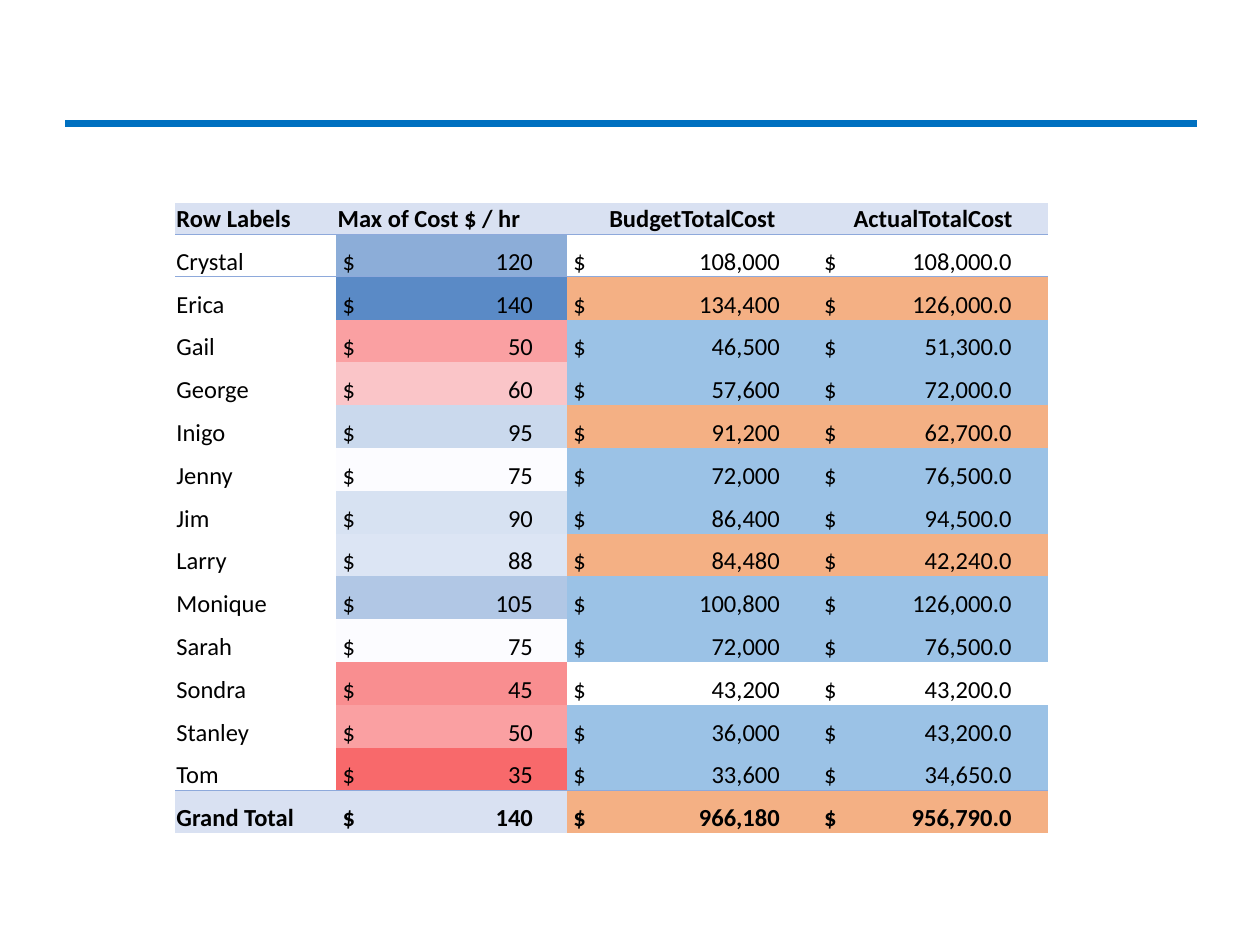
"""Build a slide with a table of hourly rates, budgeted and actual costs per person."""
from dataclasses import dataclass

from lxml import etree
from pptx import Presentation
from pptx.dml.color import RGBColor
from pptx.enum.shapes import MSO_CONNECTOR
from pptx.enum.text import MSO_ANCHOR, PP_ALIGN
from pptx.oxml.ns import qn
from pptx.util import Inches, Pt

STRAIGHT = MSO_CONNECTOR.STRAIGHT
BOTTOM = MSO_ANCHOR.BOTTOM
LEFT, CENTER = PP_ALIGN.LEFT, PP_ALIGN.CENTER
PLAIN_TABLE = "{2D5ABB26-0587-4C30-8999-92F81FD0307C}"


@dataclass(frozen=True)
class Theme:
    font: str = "Calibri"
    size: float = 14
    text: str = "000000"
    rule: str = "0070C0"
    rule_width: float = 4.5
    band: str = "D9E1F2"
    border: str = "8EA9DB"
    border_width: float = 0.5
    over_budget: str = "9BC2E6"
    under_budget: str = "F4B084"
    low_rate: str = "F8696B"
    middle_rate: str = "FCFCFF"
    high_rate: str = "5A8AC6"


THEME = Theme()
HEADINGS = ["Row Labels", "Max of Cost $ / hr", "BudgetTotalCost", "ActualTotalCost"]
HEADING_ALIGNMENTS = [LEFT, LEFT, CENTER, CENTER]
COLUMN_WIDTHS = [1.28, 1.83, 1.99, 1.83]
AMOUNT_ENDS = [1.51, 1.64, 1.49]
HEADING_HEIGHT, ROW_HEIGHT = 0.24, 0.34
MIDDLE_RATE = 75
COSTS = [
    ("Crystal", 120, 108000, 108000),
    ("Erica", 140, 134400, 126000),
    ("Gail", 50, 46500, 51300),
    ("George", 60, 57600, 72000),
    ("Inigo", 95, 91200, 62700),
    ("Jenny", 75, 72000, 76500),
    ("Jim", 90, 86400, 94500),
    ("Larry", 88, 84480, 42240),
    ("Monique", 105, 100800, 126000),
    ("Sarah", 75, 72000, 76500),
    ("Sondra", 45, 43200, 43200),
    ("Stanley", 50, 36000, 43200),
    ("Tom", 35, 33600, 34650),
]


def rate_color(rate, lowest, highest):
    """Place a rate on the scale from low through middle to high."""
    end, limit = (THEME.low_rate, lowest) if rate < MIDDLE_RATE else (THEME.high_rate, highest)
    share = (rate - MIDDLE_RATE) / (limit - MIDDLE_RATE)
    middle_rgb, end_rgb = RGBColor.from_string(THEME.middle_rate), RGBColor.from_string(end)
    return str(RGBColor(*(round(m + (e - m) * share) for m, e in zip(middle_rgb, end_rgb))))


def budget_color(budget, actual):
    """Return the colour for costs above or below budget, or None when equal."""
    if actual == budget:
        return None
    return THEME.over_budget if actual > budget else THEME.under_budget


def add_rule(slide):
    """Draw the horizontal rule at the head of the slide."""
    rule = slide.shapes.add_connector(STRAIGHT, Inches(0.52), Inches(0.98), Inches(9.5), Inches(0.98))
    rule.line.color.rgb = RGBColor.from_string(THEME.rule)
    rule.line.width = Pt(THEME.rule_width)
    etree.SubElement(rule._element.spPr, qn("a:effectLst"))


def fill_cell(cell, text, color, bold=False, alignment=LEFT, indent=0.01):
    """Write and format the single paragraph of a cell."""
    cell.vertical_anchor = BOTTOM
    cell.margin_left = Inches(indent)
    cell.margin_right = cell.margin_top = Inches(0.01)
    cell.margin_bottom = 0
    if color:
        cell.fill.solid()
        cell.fill.fore_color.rgb = RGBColor.from_string(color)
    else:
        cell.fill.background()
    paragraph = cell.text_frame.paragraphs[0]
    paragraph.text = text
    paragraph.alignment = alignment
    for run in paragraph.runs:
        run.font.name = THEME.font
        run.font.size = Pt(THEME.size)
        run.font.bold = bold
        run.font.color.rgb = RGBColor.from_string(THEME.text)


def fill_amount(cell, amount, color, bold, end):
    """Put the dollar sign at the left and the amount against a right tab."""
    fill_cell(cell, f"$\t{amount}", color, bold, indent=0.05)
    properties = cell.text_frame.paragraphs[0]._p.get_or_add_pPr()
    tabs = etree.SubElement(properties, qn("a:tabLst"))
    etree.SubElement(tabs, qn("a:tab"), pos=str(Inches(end)), algn="r")


def add_border(cell, side):
    """Add a thin line on the top (lnT) or bottom (lnB) of a cell."""
    line = etree.Element(qn(f"a:{side}"), w=str(Pt(THEME.border_width)))
    fill = etree.SubElement(line, qn("a:solidFill"))
    etree.SubElement(fill, qn("a:srgbClr"), val=THEME.border)
    cell._tc.get_or_add_tcPr().insert(0, line)


def fill_costs(cells, name, amounts, colors, bold=False):
    """Fill one row with a name, a rate, a budget and an actual cost."""
    label_color, *amount_colors = colors
    rate, budget, actual = amounts
    fill_cell(cells[0], name, label_color, bold)
    shown = [f"{rate}", f"{budget:,}", f"{actual:,.1f}"]
    for cell, amount, color, end in zip(cells[1:], shown, amount_colors, AMOUNT_ENDS):
        fill_amount(cell, amount, color, bold, end)


def add_cost_table(slide):
    """Build the cost table with its heading and grand total."""
    heights = [HEADING_HEIGHT] + [ROW_HEIGHT] * (len(COSTS) + 1)
    frame = slide.shapes.add_table(len(heights), len(HEADINGS), Inches(1.39), Inches(1.61),
                                   Inches(sum(COLUMN_WIDTHS)), Inches(sum(heights)))
    table = frame.table
    table.first_row = table.horz_banding = False
    table._tbl.tblPr.find(qn("a:tableStyleId")).text = PLAIN_TABLE
    for column, width in zip(table.columns, COLUMN_WIDTHS):
        column.width = Inches(width)
    for row, height in zip(table.rows, heights):
        row.height = Inches(height)
    rows = [list(row.cells) for row in table.rows]

    for cell, heading, alignment in zip(rows[0], HEADINGS, HEADING_ALIGNMENTS):
        fill_cell(cell, heading, THEME.band, True, alignment)

    _, rates, budgets, actuals = zip(*COSTS)
    for cells, (name, rate, budget, actual) in zip(rows[1:], COSTS):
        status = budget_color(budget, actual)
        scale = rate_color(rate, min(rates), max(rates))
        fill_costs(cells, name, (rate, budget, actual), (None, scale, status, status))

    totals = max(rates), sum(budgets), sum(actuals)
    status = budget_color(*totals[1:])
    fill_costs(rows[-1], "Grand Total", totals, (THEME.band, THEME.band, status, status), True)

    for above, below in ((rows[0], rows[1]), (rows[-2], rows[-1])):
        for upper, lower in zip(above, below):
            add_border(upper, "lnB")
            add_border(lower, "lnT")


def main():
    """Create and save the presentation."""
    deck = Presentation()
    deck.slide_width, deck.slide_height = Inches(10), Inches(7.5)
    slide = deck.slides.add_slide(deck.slide_layouts[6])
    add_rule(slide)
    add_cost_table(slide)
    deck.save("out.pptx")


if __name__ == "__main__":
    main()
